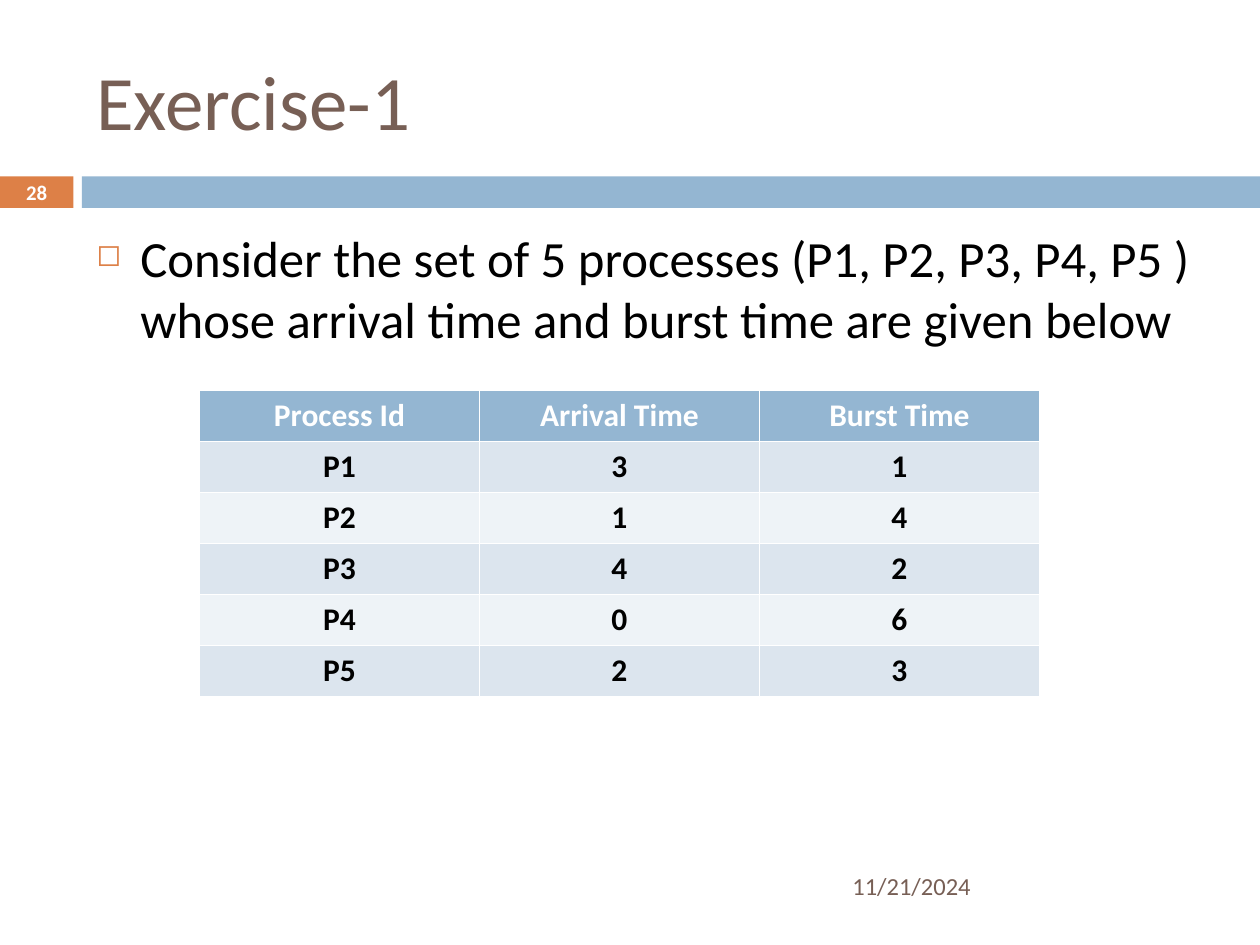
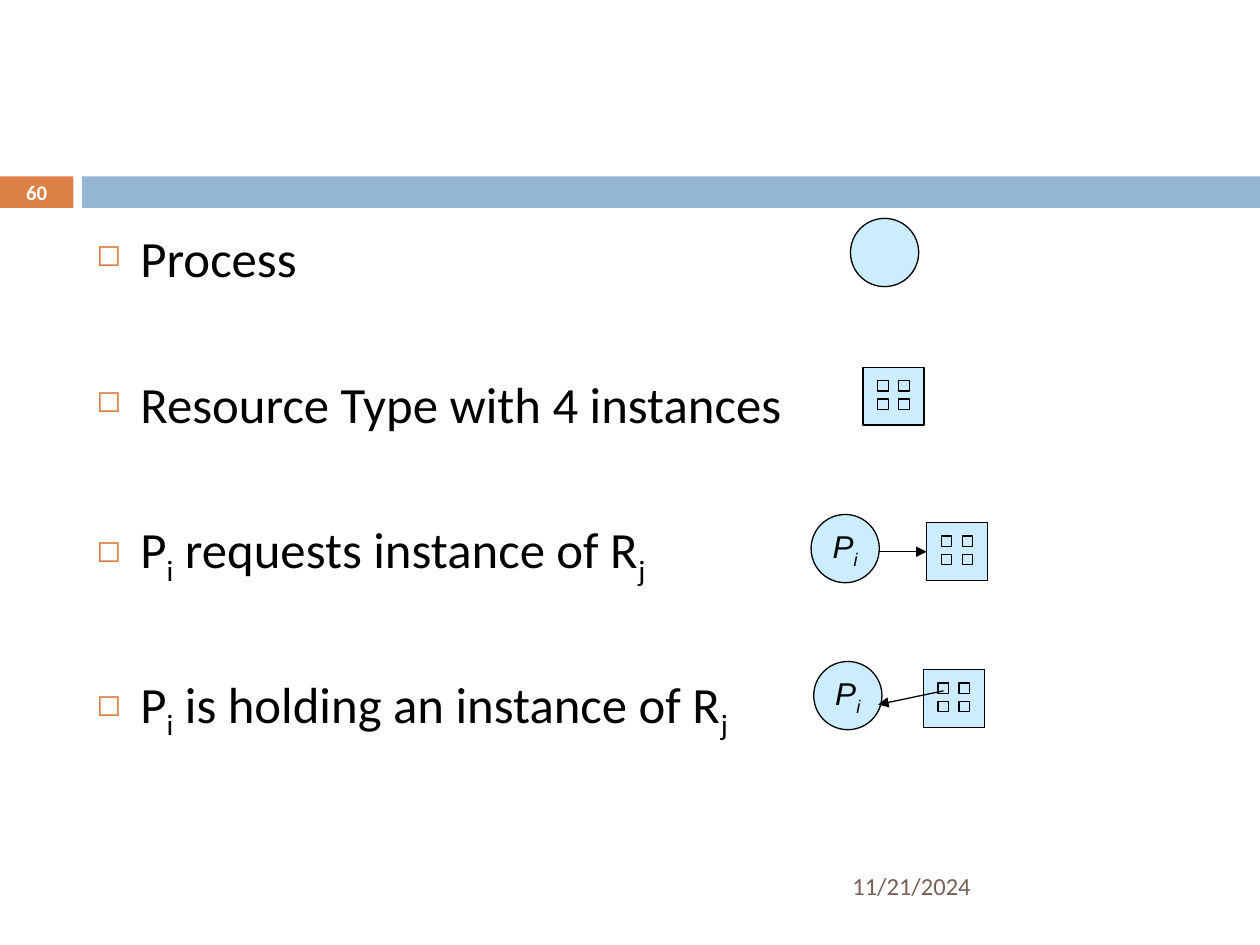
from collections import namedtuple
from lxml.etree import SubElement
from pptx import Presentation
from pptx.dml.color import RGBColor
from pptx.enum.shapes import MSO_CONNECTOR, MSO_SHAPE
from pptx.enum.text import MSO_ANCHOR, PP_ALIGN
from pptx.oxml.ns import qn
from pptx.util import Inches, Pt

COLUMNS, ROWS = 120, 90
WIDTH, HEIGHT = Inches(10), Inches(7.5)
ORANGE, BLUE, BROWN = "DD8047", "94B6D2", "775F55"
BLACK, WHITE, PALE_BLUE = "000000", "FFFFFF", "CCECFF"
ROW_FILLS = ("DCE5EE", "EEF3F7")
BODY_SIZE, LINE_GAP, WIDE_GAP = 29, 7, 48.5

Box = namedtuple("Box", "left top width height")
TITLE = Box(8, 3, 107, 13)
NUMBER = Box(0, 16.8, 7, 3)
BAND = Box(7.8, 16.8, 112.2, 3)
BODY = Box(8, 21, 107, 59)
DATE = Box(80, 82, 35, 4.8)
TABLE = Box(19, 37.2, 80, 29.16)
DIAGRAM = Box(77.25, 20.8, 17, 49)

PROCESSES = [
    ("Process Id", "Arrival Time", "Burst Time"),
    ("P1", "3", "1"),
    ("P2", "1", "4"),
    ("P3", "4", "2"),
    ("P4", "0", "6"),
    ("P5", "2", "3"),
]
LEGEND = [
    [("Process", False)],
    [("Resource Type with 4 instances", False)],
    [("P", False), ("i", True), (" requests instance of R", False), ("j", True)],
    [("P", False), ("i", True), (" is holding an instance of R", False), ("j", True)],
]


def color(hex_text):
    """Turn a hex string into a colour."""
    return RGBColor.from_string(hex_text)


def across(columns):
    """Convert grid columns to a length."""
    return round(WIDTH * columns / COLUMNS)


def down(rows):
    """Convert grid rows to a length."""
    return round(HEIGHT * rows / ROWS)


def place(box):
    """Convert a grid box to left, top, width and height."""
    return across(box.left), down(box.top), across(box.width), down(box.height)


def style_font(para, size, hex_text, name="Calibri", bold=False, italic=False):
    """Set the font shared by all runs of a paragraph."""
    font = para.font
    font.name, font.size, font.bold, font.italic = name, Pt(size), bold, italic
    font.color.rgb = color(hex_text)


def add_spans(para, spans):
    """Write (text, is_subscript) pairs as runs."""
    for text, is_subscript in spans:
        span = para.add_run()
        span.text = text
        if is_subscript:
            span.font._element.set("baseline", "-25000")


def add_block(shapes, kind, box, fill, line=None):
    """Draw a flat shape, outlined if a line colour is given."""
    block = shapes.add_shape(kind, *place(box))
    block.shadow.inherit = False
    block.fill.solid()
    block.fill.fore_color.rgb = color(fill)
    if line:
        block.line.color.rgb = color(line)
        block.line.width = Pt(0.75)
    else:
        block.line.fill.background()
    return block


def add_text(page, box, text, size, hex_text):
    """Place one vertically centred line of text."""
    frame = page.shapes.add_textbox(*place(box)).text_frame
    frame.word_wrap = True
    frame.vertical_anchor = MSO_ANCHOR.MIDDLE
    frame.paragraphs[0].text = text
    style_font(frame.paragraphs[0], size, hex_text)


def add_bullet(para):
    """Give a paragraph a small hollow square with a hanging indent."""
    properties = para._p.get_or_add_pPr()
    indent = Inches(0.35)
    properties.set("marL", str(indent))
    properties.set("indent", str(-indent))
    SubElement(SubElement(properties, qn("a:buClr")), qn("a:srgbClr"), val=ORANGE)
    SubElement(properties, qn("a:buSzPct"), val="60000")
    SubElement(properties, qn("a:buChar"), char="◻")


def add_body(page, box, items):
    """Fill a box with evenly spaced bullet items."""
    frame = page.shapes.add_textbox(*place(box)).text_frame
    frame.word_wrap = True
    for index, spans in enumerate(items):
        para = frame.add_paragraph() if index else frame.paragraphs[0]
        para.space_before = Pt(WIDE_GAP if index else LINE_GAP)
        add_bullet(para)
        style_font(para, BODY_SIZE, BLACK)
        add_spans(para, spans)


def add_page(deck, number, title=None):
    """Start a slide with the band, number, date and optional title."""
    page = deck.slides.add_slide(deck.slide_layouts[6])
    tab = add_block(page.shapes, MSO_SHAPE.RECTANGLE, NUMBER, ORANGE)
    add_block(page.shapes, MSO_SHAPE.RECTANGLE, BAND, BLUE)
    frame = tab.text_frame
    frame.margin_top = frame.margin_bottom = 0
    para = frame.paragraphs[0]
    para.text = str(number)
    para.alignment = PP_ALIGN.CENTER
    style_font(para, 11.9, WHITE, bold=True)
    if title:
        add_text(page, TITLE, title, 44, BROWN)
    add_text(page, DATE, "11/21/2024", 14, BROWN)
    return page


def add_process_table(page, box, records):
    """Draw the process times with a header and banded rows."""
    frame = page.shapes.add_table(len(records), len(records[0]), *place(box))
    for row, record in enumerate(records):
        for column, value in enumerate(record):
            cell = frame.table.cell(row, column)
            cell.fill.solid()
            cell.fill.fore_color.rgb = color(ROW_FILLS[(row - 1) % 2] if row else BLUE)
            para = cell.text_frame.paragraphs[0]
            para.text = value
            para.alignment = PP_ALIGN.CENTER
            style_font(para, 18, BLACK if row else WHITE, bold=True)


def add_process(page, left, top, labelled=True):
    """Draw a process circle, labelled Pi on request."""
    circle = add_block(page.shapes, MSO_SHAPE.OVAL, Box(left, top, 6.5, 6.5), PALE_BLUE, BLACK)
    if labelled:
        frame = circle.text_frame
        frame.word_wrap = False
        frame.vertical_anchor = MSO_ANCHOR.MIDDLE
        para = frame.paragraphs[0]
        para.alignment = PP_ALIGN.CENTER
        style_font(para, 18, BLACK, name="Arial", italic=True)
        add_spans(para, [("P", False), ("i", True)])


def add_resource(page, left, top):
    """Draw a resource square holding four instances and return the square."""
    shapes = page.shapes.add_group_shape().shapes
    square = add_block(shapes, MSO_SHAPE.RECTANGLE, Box(left, top, 5.8, 5.5), PALE_BLUE, BLACK)
    for row in range(2):
        for column in range(2):
            instance = Box(left + 1.4 + 2 * column, top + 1.25 + 1.75 * row, 1, 1)
            add_block(shapes, MSO_SHAPE.RECTANGLE, instance, PALE_BLUE, BLACK)
    return square


def add_arrow(page, start, end):
    """Draw a thin arrow between two grid points."""
    arrow = page.shapes.add_connector(
        MSO_CONNECTOR.STRAIGHT, across(start[0]), down(start[1]), across(end[0]), down(end[1])
    )
    arrow.line.color.rgb = color(BLACK)
    arrow.line.width = Pt(0.75)
    SubElement(arrow.line._get_or_add_ln(), qn("a:tailEnd"), type="triangle")
    SubElement(arrow._element.spPr, qn("a:effectLst"))
    return arrow


def add_allocation_diagram(page, box):
    """Draw the symbol that belongs to each legend item."""
    left, top = box.left, box.top
    add_process(page, left + 3.75, top, labelled=False)
    add_resource(page, left + 4.95, top + 14.2)

    add_process(page, left, top + 28.2)
    requested = add_resource(page, left + 11, top + 29)
    middle = top + 31.75
    request = add_arrow(page, (left + 6.6, middle), (left + 11, middle))
    request.end_connect(requested, 1)

    add_process(page, left + 0.25, top + 42.2)
    add_resource(page, left + 10.7, top + 43)
    add_arrow(page, (left + 12.6, top + 45), (left + 6.4, top + 46.3))


def main():
    """Build and save both slides."""
    deck = Presentation()
    deck.slide_width, deck.slide_height = WIDTH, HEIGHT

    exercise = add_page(deck, 28, "Exercise-1")
    question = (
        "Consider the set of 5 processes (P1, P2, P3, P4, P5 ) "
        "whose arrival time and burst time are given below"
    )
    add_body(exercise, BODY, [[(question, False)]])
    add_process_table(exercise, TABLE, PROCESSES)

    allocation = add_page(deck, 60)
    add_body(allocation, BODY, LEGEND)
    add_allocation_diagram(allocation, DIAGRAM)

    deck.save("out.pptx")


if __name__ == "__main__":
    main()
